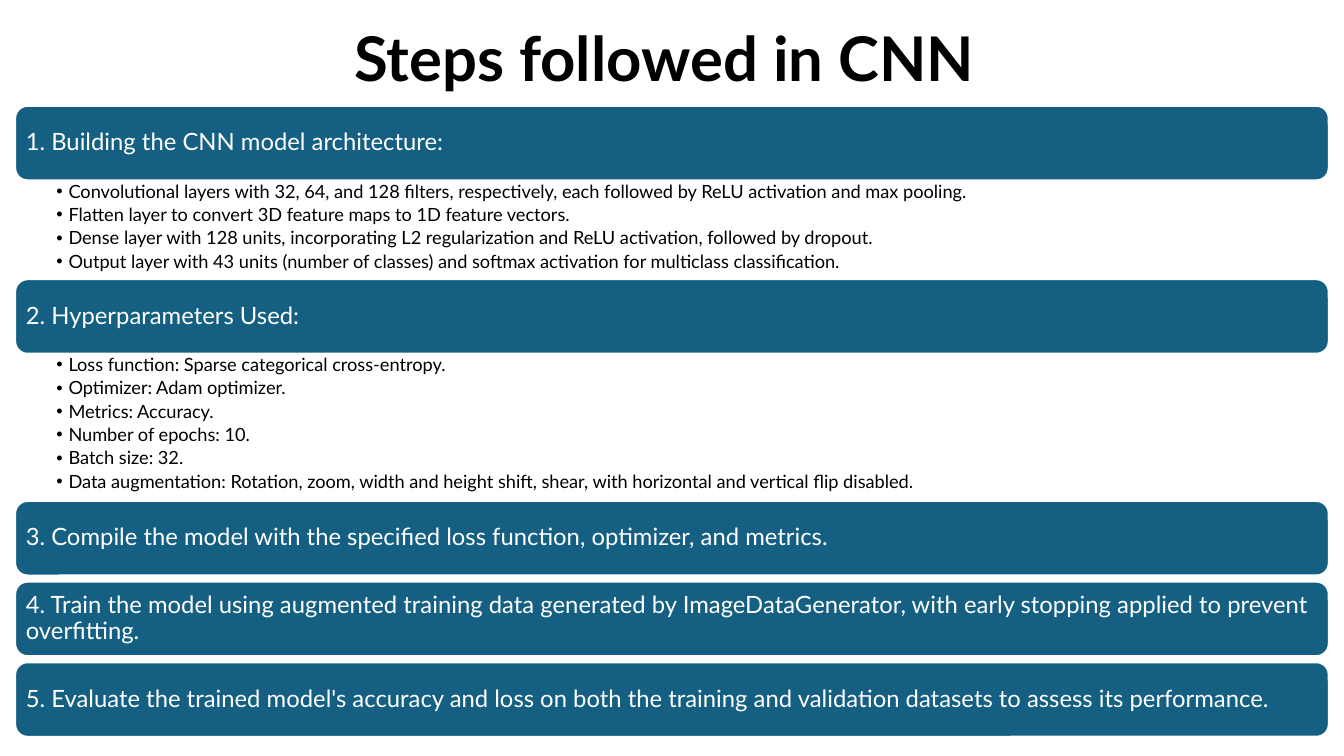
from lxml import etree
from pptx import Presentation
from pptx.dml.color import RGBColor
from pptx.enum.shapes import MSO_SHAPE
from pptx.enum.text import MSO_ANCHOR, PP_ALIGN
from pptx.oxml.ns import qn
from pptx.util import Inches, Pt

ROUNDED = MSO_SHAPE.ROUNDED_RECTANGLE
MIDDLE, TOP = MSO_ANCHOR.MIDDLE, MSO_ANCHOR.TOP
LEFT, CENTER = PP_ALIGN.LEFT, PP_ALIGN.CENTER

FONT = "Lato"
BLACK, WHITE, TEAL = "000000", "FFFFFF", "156082"

# Layout, in inches
MARGIN, WIDTH = 0.15, 13.03
FIRST_TOP, BAR_HEIGHT, BAR_GAP = 1.05, 0.74, 0.06
BULLET_PITCH, BULLET_PAD, BULLET_INDENT = 0.24, 0.02, 0.12

# Each step: heading and its details
STEPS = [
    ("1. Building the CNN model architecture:", [
        "Convolutional layers with 32, 64, and 128 filters, respectively, "
        "each followed by ReLU activation and max pooling.",
        "Flatten layer to convert 3D feature maps to 1D feature vectors.",
        "Dense layer with 128 units, incorporating L2 regularization and "
        "ReLU activation, followed by dropout.",
        "Output layer with 43 units (number of classes) and softmax "
        "activation for multiclass classification.",
    ]),
    ("2. Hyperparameters Used:", [
        "Loss function: Sparse categorical cross-entropy.",
        "Optimizer: Adam optimizer.",
        "Metrics: Accuracy.",
        "Number of epochs: 10.",
        "Batch size: 32.",
        "Data augmentation: Rotation, zoom, width and height shift, shear, "
        "with horizontal and vertical flip disabled.",
    ]),
    ("3. Compile the model with the specified loss function, optimizer, "
     "and metrics.", []),
    ("4. Train the model using augmented training data generated by "
     "ImageDataGenerator, with early stopping applied to prevent "
     "overfitting.", []),
    ("5. Evaluate the trained model's accuracy and loss on both the training "
     "and validation datasets to assess its performance.", []),
]


def rgb(value):
    return RGBColor.from_string(value)


def set_text(sp, lines, size, color, insets, anchor=MIDDLE, align=LEFT,
             bold=False, space_after=0):
    """Fill a shape with one paragraph per line; insets are l, t, r, b."""
    tf = sp.text_frame
    tf.word_wrap = True
    tf.vertical_anchor = anchor
    tf.margin_left, tf.margin_top, tf.margin_right, tf.margin_bottom = map(
        Inches, insets)
    tf.text = "\n".join(lines)
    for p in tf.paragraphs:
        p.alignment = align
        p.line_spacing = 0.9
        p.space_after = Pt(space_after)
        font = p.runs[0].font
        font.name, font.size, font.bold = FONT, Pt(size), bold
        font.color.rgb = rgb(color)


def add_bullet(p):
    pPr = p._p.get_or_add_pPr()
    pPr.set("marL", str(Inches(BULLET_INDENT)))
    pPr.set("indent", str(-Inches(BULLET_INDENT)))
    etree.SubElement(pPr, qn("a:buFont")).set("typeface", "Arial")
    etree.SubElement(pPr, qn("a:buChar")).set("char", "•")


def add_text_box(s, top, height):
    return s.shapes.add_textbox(Inches(MARGIN), Inches(top), Inches(WIDTH),
                                Inches(height))


def add_title(s, text):
    sp = add_text_box(s, -0.11, 1.45)
    set_text(sp, [text], 44, BLACK, (0.1, 0.05, 0.1, 0.05), align=CENTER,
             bold=True)


def add_step_bar(s, top, text):
    sp = s.shapes.add_shape(ROUNDED, Inches(MARGIN), Inches(top),
                            Inches(WIDTH), Inches(BAR_HEIGHT))
    sp.shadow.inherit = False
    sp.fill.solid()
    sp.fill.fore_color.rgb = rgb(TEAL)
    sp.line.color.rgb = rgb(WHITE)
    sp.line.width = Pt(1.5)
    set_text(sp, [text], 17, WHITE, (0.07, 0.07, 0.07, 0.07))


def add_details(s, top, height, details):
    sp = add_text_box(s, top, height)
    set_text(sp, details, 13, BLACK, (0.41, 0.02, 0.13, 0.02), anchor=TOP,
             space_after=2.6)
    for p in sp.text_frame.paragraphs:
        add_bullet(p)


def main():
    prs = Presentation()
    prs.slide_width, prs.slide_height = Inches(13.33), Inches(7.5)
    s = prs.slides.add_slide(prs.slide_layouts[6])

    add_title(s, "Steps followed in CNN ")

    # Stack the bars, each followed by its details or a small gap
    top = FIRST_TOP
    for heading, details in STEPS:
        add_step_bar(s, top, heading)
        top += BAR_HEIGHT
        if details:
            height = len(details) * BULLET_PITCH + BULLET_PAD
            add_details(s, top, height, details)
            top += height
        else:
            top += BAR_GAP

    prs.save("out.pptx")


if __name__ == "__main__":
    main()
